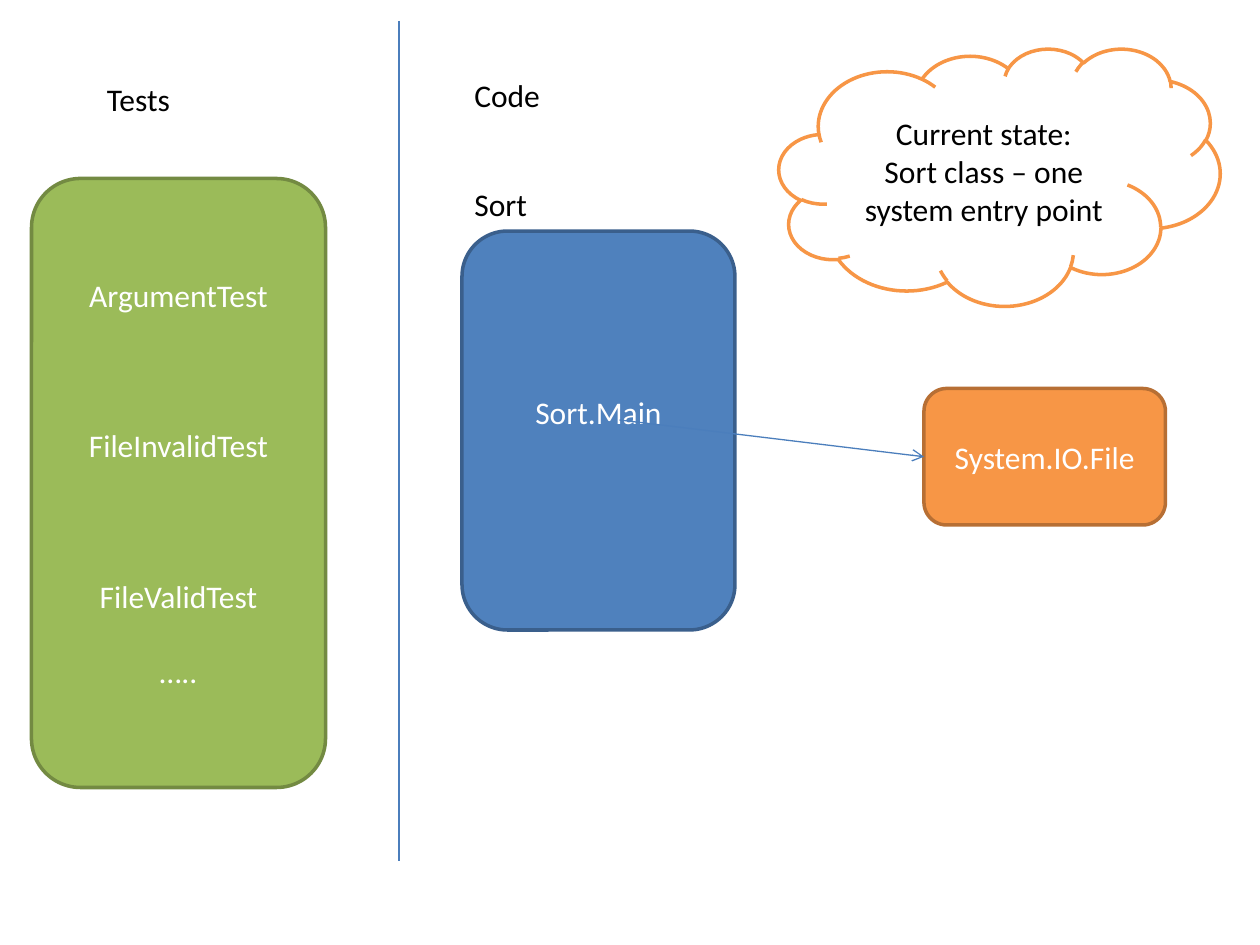
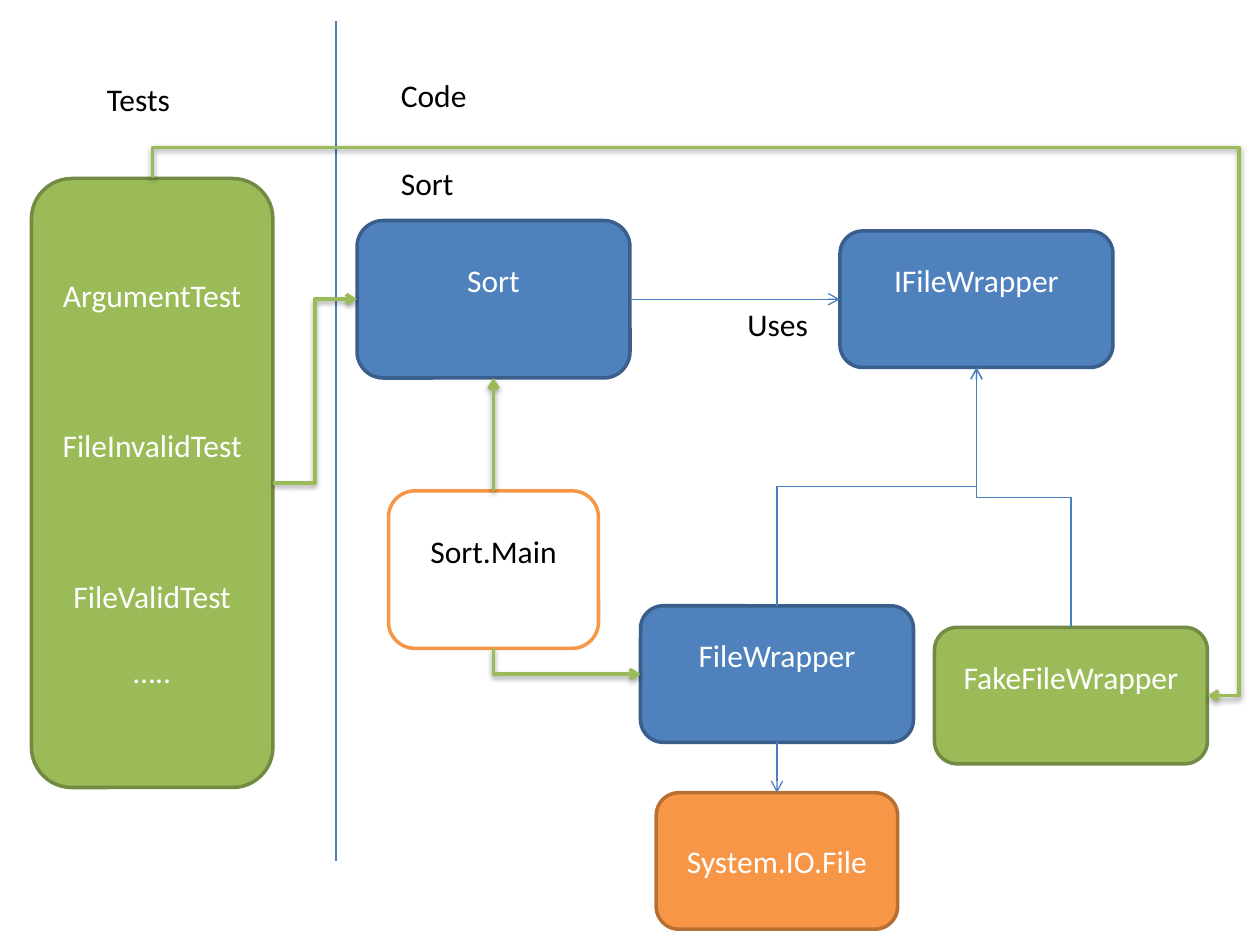
from dataclasses import dataclass

from pptx import Presentation, util as u
from pptx.dml.color import RGBColor
from pptx.enum import shapes, text
from pptx.oxml import parse_xml
from pptx.oxml.ns import nsdecls, qn

WIDE, HIGH = u.Inches(10), u.Inches(7.5)
COLS, ROWS = 120, 90
FONT, SIZE = "Calibri", u.Pt(18)
GAP = 21.5  # points in one text line

WHITE = RGBColor(0xFF, 0xFF, 0xFF)
BLACK = RGBColor(0, 0, 0)
BLUE = RGBColor(0x4F, 0x81, 0xBD)
NAVY = RGBColor(0x3A, 0x5F, 0x8C)
WIRE = RGBColor(0x4B, 0x7E, 0xBC)
GREEN = RGBColor(0x9B, 0xBB, 0x59)
OLIVE = RGBColor(0x73, 0x8A, 0x42)
AMBER = RGBColor(0xF7, 0x96, 0x46)
BROWN = RGBColor(0xB7, 0x6F, 0x34)

ROUND = shapes.MSO_SHAPE.ROUNDED_RECTANGLE
CLOUD = shapes.MSO_SHAPE.CLOUD
TOP, LEFT, BASE, RIGHT = range(4)


@dataclass(frozen=True)
class Look:
    fill: RGBColor
    edge: RGBColor
    ink: RGBColor = WHITE


CODE = Look(BLUE, NAVY)
TEST = Look(GREEN, OLIVE)
FILE = Look(AMBER, BROWN)
PLAIN = Look(WHITE, AMBER, BLACK)


@dataclass(frozen=True)
class Box:
    """A filled shape; gaps are blank lines above each text line, lift is those below."""
    name: str
    col: float
    row: float
    cols: float
    rows: float
    look: Look
    lines: tuple[str, ...]
    gaps: tuple[int, ...] = (0, 0)
    lift: int = 0
    form: shapes.MSO_SHAPE = ROUND


@dataclass(frozen=True)
class Label:
    words: str
    col: float
    row: float
    cols: float


@dataclass(frozen=True)
class Link:
    """An arrow between box sides; bends are the bent preset's shares."""
    start: str
    side: int
    end: str
    goal: int
    bold: bool = False
    turns: int = 0
    bends: tuple[float, ...] = ()


@dataclass(frozen=True)
class Scene:
    split: float
    boxes: tuple[Box, ...]
    labels: tuple[Label, ...]
    links: tuple[Link, ...] = ()


def across(col: float) -> int:
    return round(WIDE * col / COLS)


def down(row: float) -> int:
    return round(HIGH * row / ROWS)


def set_font(para, ink: RGBColor) -> None:
    para.font.name, para.font.size = FONT, SIZE
    para.font.color.rgb = ink


def add_box(slide, box: Box):
    shape = slide.shapes.add_shape(box.form, across(box.col), down(box.row),
                                   across(box.cols), down(box.rows))
    shape.shadow.inherit = False
    shape.fill.solid()
    shape.fill.fore_color.rgb = box.look.fill
    shape.line.color.rgb = box.look.edge
    shape.line.width = u.Pt(2)
    frame = shape.text_frame
    frame.vertical_anchor = text.MSO_ANCHOR.MIDDLE
    frame.margin_bottom = u.Pt(3.6 + box.lift * GAP)
    frame.text = "\n".join(box.lines)
    for para, gap in zip(frame.paragraphs, box.gaps):
        para.alignment = text.PP_ALIGN.CENTER
        para.space_before = u.Pt(gap * GAP)
        set_font(para, box.look.ink)
    return shape


def add_label(slide, label: Label) -> None:
    area = slide.shapes.add_textbox(across(label.col), down(label.row),
                                    across(label.cols), down(4.85))
    frame = area.text_frame
    frame.word_wrap = False
    frame.auto_size = text.MSO_AUTO_SIZE.SHAPE_TO_FIT_TEXT
    frame.text = label.words
    set_font(frame.paragraphs[0], BLACK)


def add_wire(slide, ends: tuple[int, int, int, int], bold: bool = False, head: bool = True):
    wire = slide.shapes.add_connector(shapes.MSO_CONNECTOR.STRAIGHT, *ends)
    wire.line.color.rgb = GREEN if bold else WIRE
    wire.line.width = u.Pt(2 if bold else 0.75)
    if head:
        wire.line._ln.append(parse_xml(f'<a:tailEnd {nsdecls("a")} type="arrow"/>'))
    shade = ('<a:outerShdw blurRad="40000" dist="20000" dir="5400000" rotWithShape="0">'
             '<a:srgbClr val="000000"><a:alpha val="38000"/></a:srgbClr></a:outerShdw>')
    wire._element.spPr.append(parse_xml(
        f'<a:effectLst {nsdecls("a")}>{shade if bold else ""}</a:effectLst>'))
    return wire


def bend(wire, link: Link) -> None:
    """Turn a straight connector into a bent one that leaves its side squarely."""
    x, y = wire.begin_x, wire.begin_y
    wide, high = wire.end_x - x, wire.end_y - y
    mid_x, mid_y = x + wide / 2, y + high / 2
    form = wire._element.spPr.find(qn("a:xfrm"))
    if link.side in (TOP, BASE):
        form.set("rot", str(270 * 60000))
        wide, high = -high, wide
    form.set("flipH", str(int(wide < 0)))
    form.set("flipV", str(int(high < 0)))
    wire.width, wire.height = abs(wide), abs(high)
    wire.left = round(mid_x - abs(wide) / 2)
    wire.top = round(mid_y - abs(high) / 2)
    guides = "".join(f'<a:gd name="adj{n}" fmla="val {round(share * 100000)}"/>'
                     for n, share in enumerate(link.bends, 1))
    old = wire._element.spPr.find(qn("a:prstGeom"))
    old.getparent().replace(old, parse_xml(
        f'<a:prstGeom {nsdecls("a")} prst="bentConnector{link.turns + 1}">'
        f'<a:avLst>{guides}</a:avLst></a:prstGeom>'))


def add_link(slide, link: Link, made: dict) -> None:
    wire = add_wire(slide, (0, 0, 0, 0), link.bold)
    wire.begin_connect(made[link.start], link.side)
    wire.end_connect(made[link.end], link.goal)
    if link.turns:
        bend(wire, link)


def draw(deck, scene: Scene):
    """Add a slide and return it with its shapes by name."""
    slide = deck.slides.add_slide(deck.slide_layouts[6])
    x = across(scene.split)
    add_wire(slide, (x, down(2), x, down(82)), head=False)
    made = {box.name: add_box(slide, box) for box in scene.boxes}
    for link in scene.links:
        add_link(slide, link, made)
    for label in scene.labels:
        add_label(slide, label)
    return slide, made


def tests(cols: float) -> Box:
    return Box("tests", 3, 17, cols, 58, TEST,
               ("ArgumentTest", "FileInvalidTest", "FileValidTest", "….."), (0, 3, 3, 1))


def unit(name: str, col: float, row: float, look: Look = CODE,
         cols: float = 26, rows: float = 13) -> Box:
    return Box(name, col, row, cols, rows, look, (name,), lift=1)


def file_box(col: float, row: float) -> Box:
    return Box("file", col, row, 23, 13, FILE, ("System.IO.File",))


def heads(col: float, row: float) -> tuple[Label, ...]:
    return (Label("Tests", 9, 7, 8.5), Label("Code", col, 6.6, 8.75),
            Label("Sort", col, row, 7.5))


BEFORE = Scene(
    38,
    (unit("Sort.Main", 44, 22, rows=38), tests(28), file_box(88, 37),
     Box("state", 74.2, 4.6, 42, 24.5, PLAIN,
         ("Current state:", "Sort class – one system entry point"), form=CLOUD)),
    heads(44, 17))

AFTER = Scene(
    32,
    (unit("Sort.Main", 37, 46.75, PLAIN, 20, 15), tests(23), file_box(62.5, 75.5),
     unit("IFileWrapper", 80, 22), unit("FileWrapper", 61, 57.7),
     unit("FakeFileWrapper", 89, 59.75, TEST), unit("Sort", 34, 21, rows=15)),
    heads(37, 15) + (Label("Uses", 70, 28.5, 8.25),),
    (Link("FileWrapper", BASE, "file", TOP),
     Link("FakeFileWrapper", TOP, "IFileWrapper", BASE, turns=2, bends=(0.5,)),
     Link("FileWrapper", TOP, "IFileWrapper", BASE, turns=2, bends=(0.5,)),
     Link("Sort", RIGHT, "IFileWrapper", LEFT),
     Link("Sort.Main", TOP, "Sort", BASE, True),
     Link("tests", TOP, "FakeFileWrapper", RIGHT, True, 3, (-0.06, 1.03)),
     Link("tests", RIGHT, "Sort", LEFT, True, 2, (0.5,)),
     Link("Sort.Main", BASE, "FileWrapper", LEFT, True, 1)))


def main() -> None:
    deck = Presentation()
    deck.slide_width, deck.slide_height = WIDE, HIGH
    slide, made = draw(deck, BEFORE)
    call = add_wire(slide, (across(59), down(40), across(88), down(43.5)))
    call.end_connect(made["file"], LEFT)
    draw(deck, AFTER)
    deck.save("out.pptx")


if __name__ == "__main__":
    main()
